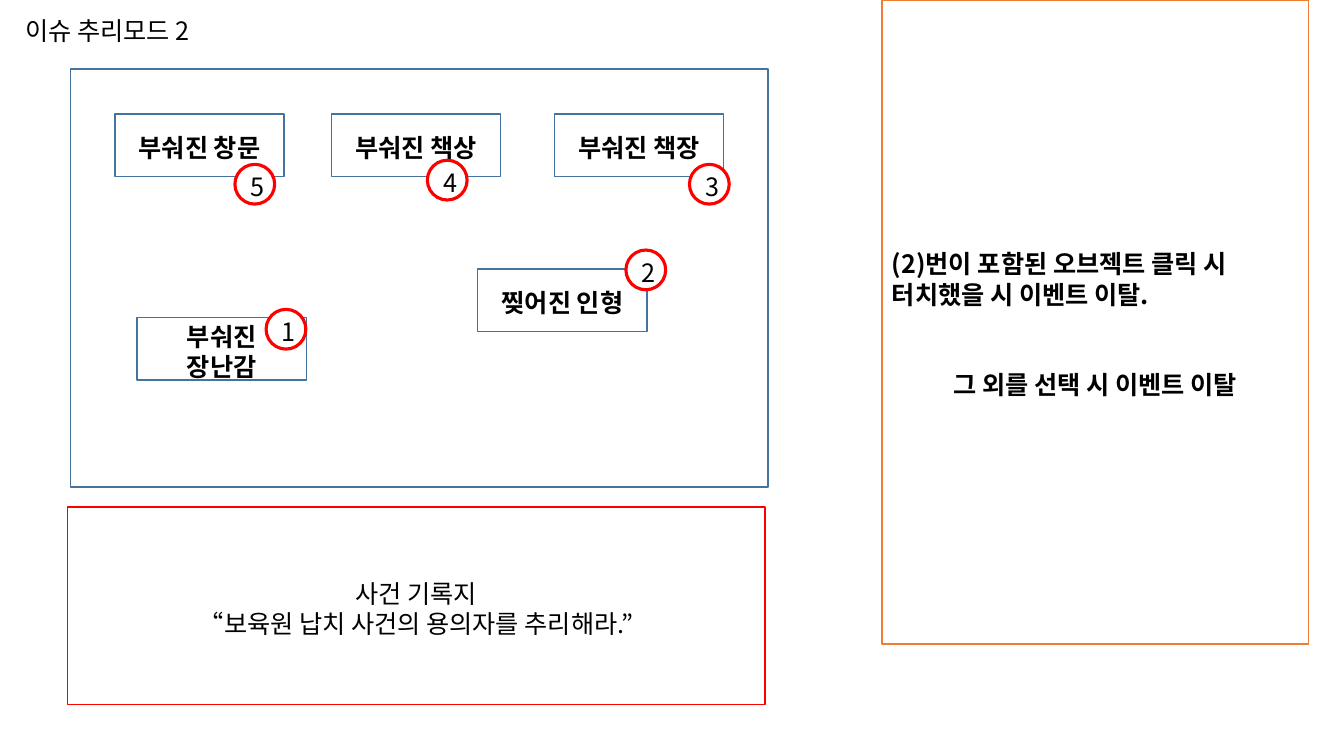
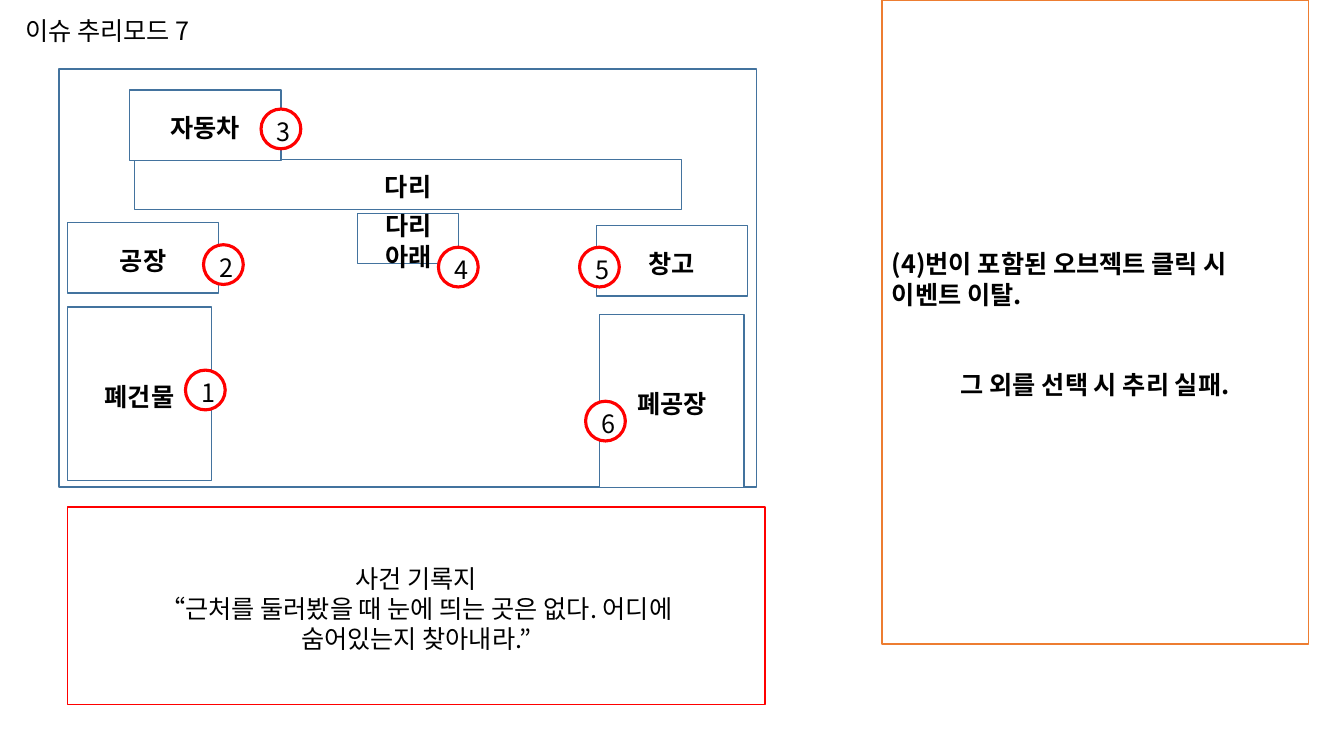
from pptx import Presentation
from pptx import util as u
from pptx.dml.color import RGBColor
from pptx.enum import shapes, text
from pptx.oxml.ns import qn
from lxml import etree

COLORS = {"paper": "FFFFFF", "ink": "000000", "object": "43739E",
          "rule": "ED7D31", "alert": "FF0000"}
FONT = "Noto Sans CJK KR"
FONT_SIZE = 18
LINE_HEIGHT = 21.6

TITLE_BOX = (10.8, 6.5, 232.6, 28.8)
RULE_BOX = (630, 0, 304.6, 460)
RECORD_BOX = (48.2, 362.2, 498.2, 141.1)
BOARD_SIZE = (498.2, 298.8)
MARKER = 28.4

ITEM = (121, 44.6)
PLACE = (108, 50.4)
BUILDING = (103, 123.8)

SCENES = [
    {
        "title": "이슈 추리모드 2",
        "board": (50.4, 49.2),
        "objects": [
            (["부숴진 책상"], (236.7, 81.4), ITEM),
            (["부숴진 책장"], (396, 81.4), ITEM),
            (["부숴진 창문"], (82, 81.4), ITEM),
            (["찢어진 인형"], (341.3, 192.2), ITEM),
            (["부숴진", "장난감"], (97.9, 226.8), ITEM),
        ],
        "markers": [(190.1, 221), (447.1, 178.6), (492.5, 117.4),
                    (305.3, 114.5), (167.8, 117.4)],
        "rules": ["(2)번이 포함된 오브젝트 클릭 시", "터치했을 시 이벤트 이탈."],
        "otherwise": "그 외를 선택 시 이벤트 이탈",
        "record": ["사건 기록지", "“보육원 납치 사건의 용의자를 추리해라.”"],
    },
    {
        "title": "이슈 추리모드 7",
        "board": (42.2, 49.2),
        "objects": [
            (["다리"], (96.3, 113.8), (390.5, 36)),
            (["다리 아래"], (255.6, 152.4), (72, 36)),
            (["폐공장"], (428.4, 224.6), BUILDING),
            (["폐건물"], (48.2, 219.4), BUILDING),
            (["자동차"], (92.7, 64.2), PLACE),
            (["창고"], (426, 161.1), PLACE),
            (["공장"], (48.2, 159), PLACE),
        ],
        "markers": [(132.5, 264.4), (145.4, 174.8), (186.5, 77.9),
                    (313.2, 176.6), (414, 176.6), (418.3, 286.6)],
        "rules": ["(4)번이 포함된 오브젝트 클릭 시 이벤트 이탈."],
        "otherwise": "그 외를 선택 시 추리 실패.",
        "record": ["사건 기록지", "“근처를 둘러봤을 때 눈에 띄는 곳은 없다. 어디에",
                   "숨어있는지 찾아내라.”"],
    },
]


def color(name):
    return RGBColor.from_string(COLORS[name])


def write(frame, lines, bold=False, align="CENTER", anchor="MIDDLE", top=7):
    frame.word_wrap = True
    frame.auto_size = text.MSO_AUTO_SIZE.NONE
    frame.vertical_anchor = text.MSO_ANCHOR[anchor]
    frame.margin_left = frame.margin_right = u.Pt(7.2)
    frame.margin_top, frame.margin_bottom = u.Pt(top), u.Pt(3.6)
    for index, line in enumerate(lines):
        paragraph = frame.paragraphs[0] if index == 0 else frame.add_paragraph()
        paragraph.alignment = text.PP_ALIGN[align]
        paragraph.line_spacing = u.Pt(LINE_HEIGHT)
        paragraph.space_before = u.Pt(0)
        run = paragraph.add_run()
        run.text = line
        font = run.font
        font.name, font.size, font.bold = FONT, u.Pt(FONT_SIZE), bold
        font.color.rgb = color("ink")
        east_asian = etree.SubElement(run._r.get_or_add_rPr(), qn("a:ea"))
        east_asian.set("typeface", FONT)


def add_box(slide, box, line, lines=(), kind="RECTANGLE", weight=1, **style):
    shape = slide.shapes.add_shape(shapes.MSO_SHAPE[kind], *map(u.Pt, box))
    shape.shadow.inherit = False
    shape.fill.solid()
    shape.fill.fore_color.rgb = color("paper")
    shape.line.color.rgb = color(line)
    shape.line.width = u.Pt(weight)
    write(shape.text_frame, lines, **style)
    return shape


def add_scene(presentation, scene):
    slide = presentation.slides.add_slide(presentation.slide_layouts[5])
    title = slide.shapes.title
    title.left, title.top, title.width, title.height = map(u.Pt, TITLE_BOX)
    write(title.text_frame, [scene["title"]], align="LEFT", anchor="TOP", top=4.5)

    add_box(slide, scene["board"] + BOARD_SIZE, "object")
    rules = add_box(slide, RULE_BOX, "rule", scene["rules"] + [scene["otherwise"]],
                    bold=True, align="LEFT")
    otherwise = rules.text_frame.paragraphs[-1]
    otherwise.alignment = text.PP_ALIGN.CENTER
    otherwise.space_before = u.Pt(2 * LINE_HEIGHT)
    add_box(slide, RECORD_BOX, "alert", scene["record"])

    for label, position, size in scene["objects"]:
        add_box(slide, position + size, "object", label, bold=True)
    for number, position in enumerate(scene["markers"], 1):
        add_box(slide, position + (MARKER, MARKER), "alert", [str(number)],
                kind="OVAL", weight=2.25)


def main():
    presentation = Presentation()
    presentation.slide_width, presentation.slide_height = u.Pt(960), u.Pt(540)
    for scene in SCENES:
        add_scene(presentation, scene)
    presentation.save("out.pptx")


if __name__ == "__main__":
    main()
